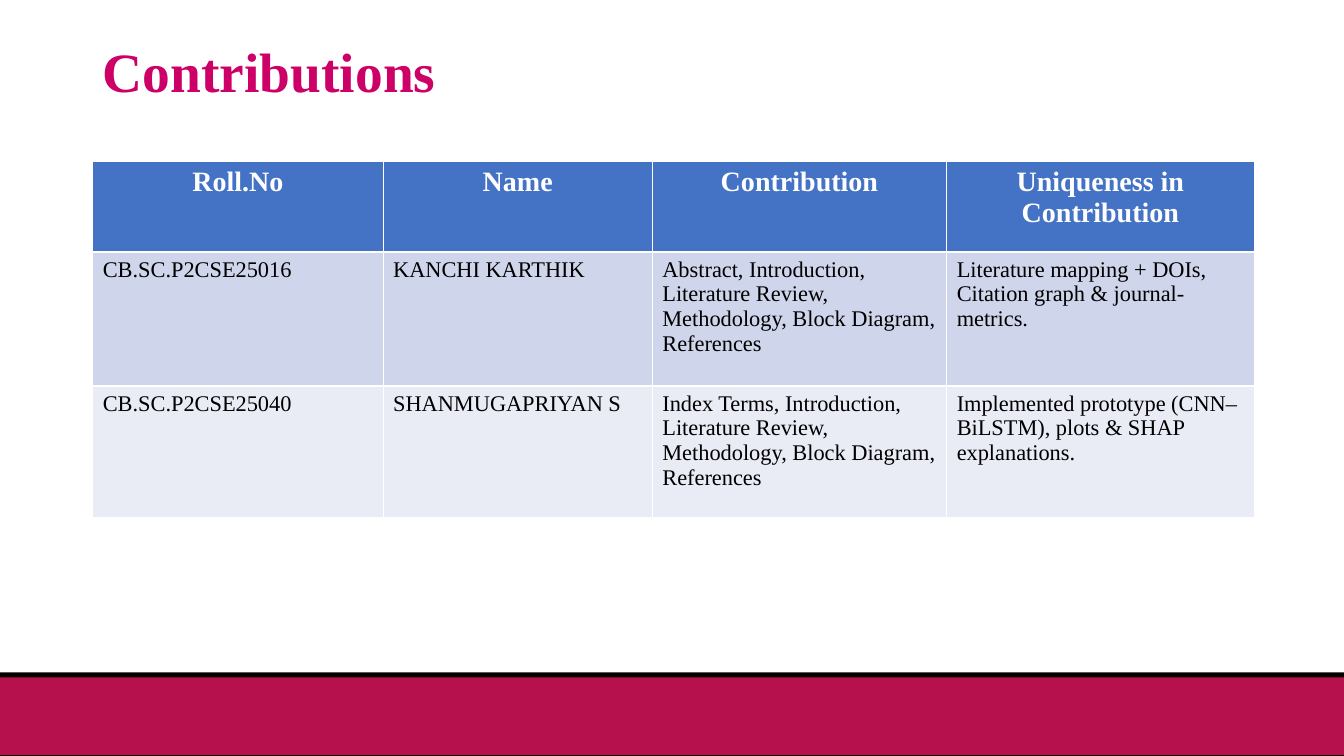
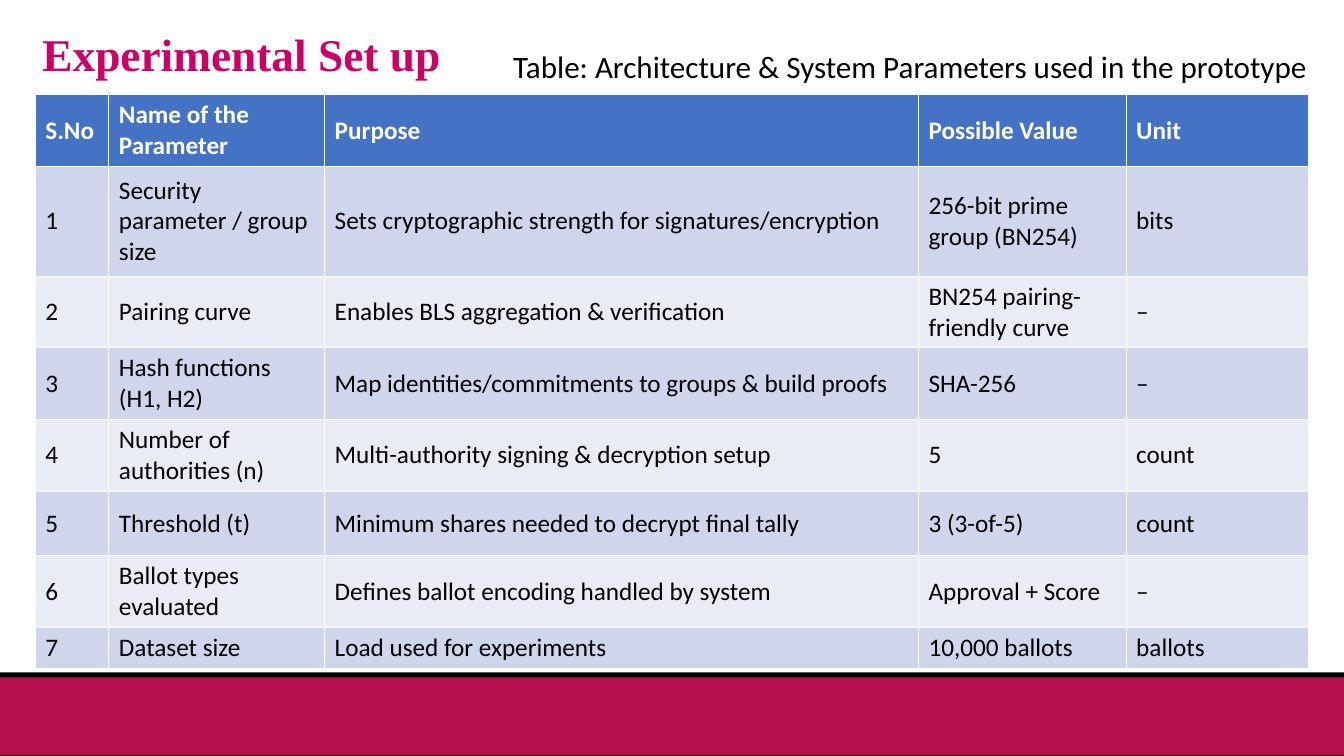
from lxml import etree
from pptx import Presentation
from pptx.dml.color import RGBColor
from pptx.enum.shapes import MSO_SHAPE
from pptx.enum.text import MSO_ANCHOR, MSO_AUTO_SIZE, PP_ALIGN
from pptx.oxml.ns import qn
from pptx.util import Inches, Pt

BLACK = RGBColor(0x00, 0x00, 0x00)
WHITE = RGBColor(0xFF, 0xFF, 0xFF)
CRIMSON = RGBColor(0xB6, 0x11, 0x4D)
MAGENTA = RGBColor(0xCC, 0x00, 0x66)
HEADER_BLUE = RGBColor(0x44, 0x72, 0xC4)
ROW_FILLS = [RGBColor(0xCF, 0xD5, 0xEA), RGBColor(0xE9, 0xEB, 0xF5)]
SERIF = "Times New Roman"
SANS = "Calibri"


def start_slide(layout_index, title_text, left, top, height, size):
    slide = presentation.slides.add_slide(presentation.slide_layouts[layout_index])
    for band_top, band_height, color in [(6.67, 0.84, BLACK), (6.72, 0.77, CRIMSON)]:
        band = slide.shapes.add_shape(
            MSO_SHAPE.RECTANGLE, 0, Inches(band_top), presentation.slide_width, Inches(band_height)
        )
        band.shadow.inherit = False
        band.fill.solid()
        band.fill.fore_color.rgb = color
        band.line.fill.background()
    title = slide.shapes.title
    title.left, title.top = Inches(left), Inches(top)
    title.width, title.height = Inches(11.5), Inches(height)
    title.text_frame.text = title_text
    title.text_frame.auto_size = MSO_AUTO_SIZE.NONE
    title.text_frame.vertical_anchor = MSO_ANCHOR.MIDDLE
    paragraph = title.text_frame.paragraphs[0]
    paragraph.alignment = PP_ALIGN.LEFT
    paragraph.line_spacing = 0.9
    font = paragraph.runs[0].font
    font.name, font.size, font.bold = SERIF, Pt(size), True
    font.color.rgb = MAGENTA
    return slide


def add_grid(slide, left, top, widths, heights, rows, font_name, sizes, anchor, header_alignment):
    table = slide.shapes.add_table(
        len(rows), len(widths), Inches(left), Inches(top), Inches(sum(widths)), Inches(sum(heights))
    ).table
    for column, width in zip(table.columns, widths):
        column.width = Inches(width)
    for row_index, (row, height) in enumerate(zip(rows, heights)):
        table.rows[row_index].height = Inches(height)
        is_header = row_index == 0
        for column_index, text in enumerate(row):
            cell = table.cell(row_index, column_index)
            cell.fill.solid()
            cell.fill.fore_color.rgb = HEADER_BLUE if is_header else ROW_FILLS[(row_index - 1) % 2]
            cell.vertical_anchor = anchor
            cell.text_frame.text = text
            paragraph = cell.text_frame.paragraphs[0]
            paragraph.alignment = header_alignment if is_header else PP_ALIGN.LEFT
            font = paragraph.runs[0].font
            font.name, font.bold = font_name, is_header
            font.size = Pt(sizes[0] if is_header else sizes[1])
            font.color.rgb = WHITE if is_header else BLACK


presentation = Presentation()
presentation.slide_width = Inches(13.33)
presentation.slide_height = Inches(7.5)

slide = start_slide(5, "Contributions", 0.92, 0.4, 0.68, 39.6)
contributions = [
    ["Roll.No", "Name", "Contribution", "Uniqueness in Contribution"],
    [
        "CB.SC.P2CSE25016",
        "KANCHI KARTHIK",
        "Abstract, Introduction, Literature Review, Methodology, Block Diagram, References",
        "Literature mapping + DOIs, Citation graph & journal-metrics.",
    ],
    [
        "CB.SC.P2CSE25040",
        "SHANMUGAPRIYAN S",
        "Index Terms, Introduction, Literature Review, Methodology, Block Diagram, References",
        "Implemented prototype (CNN–BiLSTM), plots & SHAP explanations.",
    ],
]
add_grid(
    slide, 0.92, 1.6, [2.88, 2.67, 2.92, 3.05], [0.9, 1.33, 1.31],
    contributions, SERIF, (20, 16), MSO_ANCHOR.TOP, PP_ALIGN.CENTER,
)

slide = start_slide(1, "Experimental Set up", 0.32, 0.25, 0.63, 32.4)
caption = slide.placeholders[1]
caption.left, caption.top = Inches(4.99), Inches(0.49)
caption.width, caption.height = Inches(8.17), Inches(0.42)
caption.text_frame.text = "Table: Architecture & System Parameters used in the prototype"
caption.text_frame.auto_size = MSO_AUTO_SIZE.NONE
paragraph = caption.text_frame.paragraphs[0]
properties = paragraph._p.get_or_add_pPr()
properties.set("marL", "0")
properties.set("indent", "0")
etree.SubElement(properties, qn("a:buNone"))
paragraph.line_spacing = 0.8
paragraph.space_before = Pt(0)
font = paragraph.runs[0].font
font.name, font.size = SANS, Pt(22.2)
font.color.rgb = BLACK

parameters = [
    ["S.No", "Name of the Parameter", "Purpose", "Possible Value", "Unit"],
    ["1", "Security parameter / group size", "Sets cryptographic strength for signatures/encryption",
     "256-bit prime group (BN254)", "bits"],
    ["2", "Pairing curve", "Enables BLS aggregation & verification", "BN254 pairing-friendly curve", "–"],
    ["3", "Hash functions (H1, H2)", "Map identities/commitments to groups & build proofs", "SHA-256", "–"],
    ["4", "Number of authorities (n)", "Multi-authority signing & decryption setup", "5", "count"],
    ["5", "Threshold (t)", "Minimum shares needed to decrypt final tally", "3 (3-of-5)", "count"],
    ["6", "Ballot types evaluated", "Defines ballot encoding handled by system", "Approval + Score", "–"],
    ["7", "Dataset size", "Load used for experiments", "10,000 ballots", "ballots"],
]
add_grid(
    slide, 0.35, 0.94, [0.73, 2.14, 5.89, 2.06, 1.81], [0.64, 1.09] + [0.64] * 5 + [0.36],
    parameters, SANS, (18, 18), MSO_ANCHOR.MIDDLE, PP_ALIGN.LEFT,
)

presentation.save("out.pptx")
